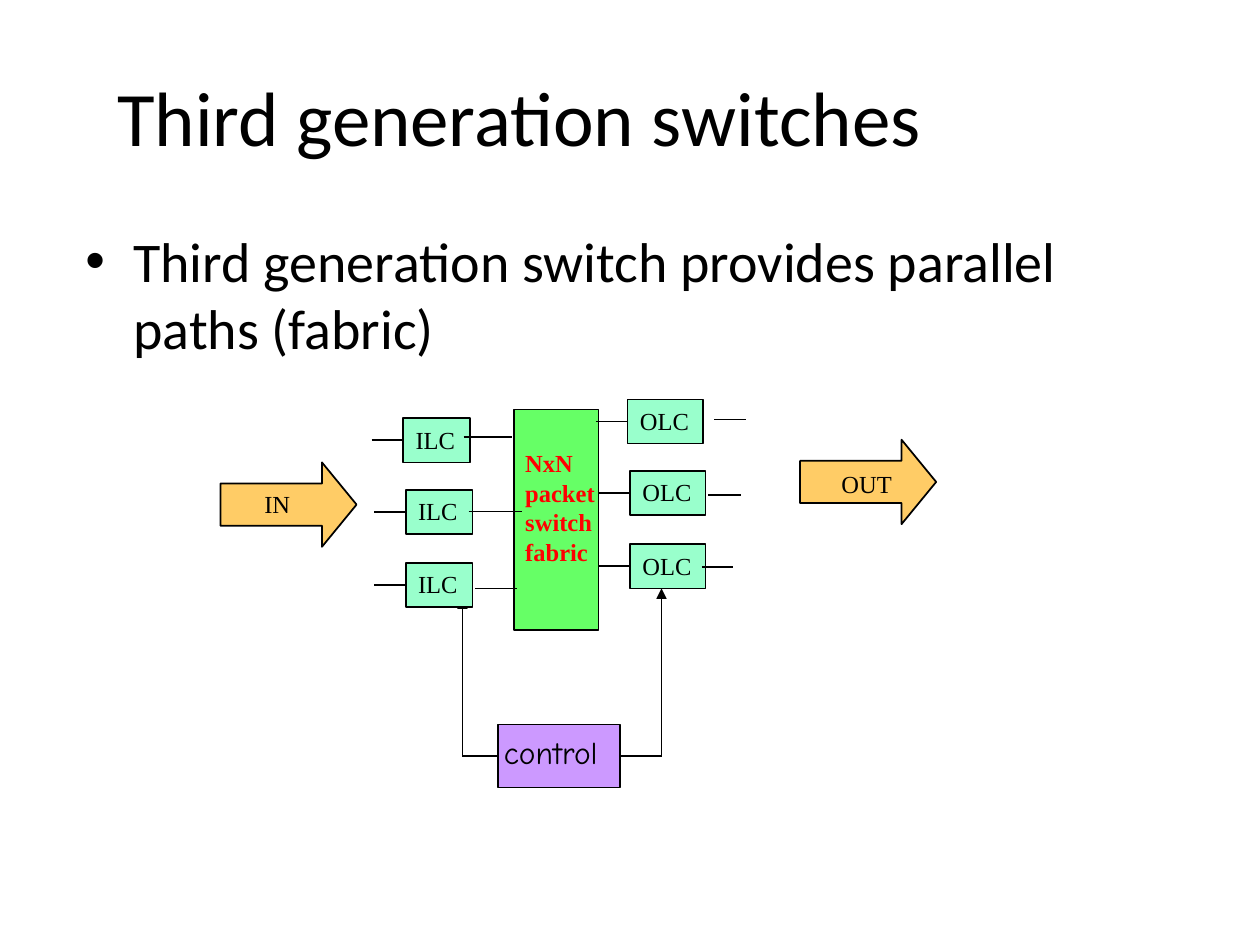
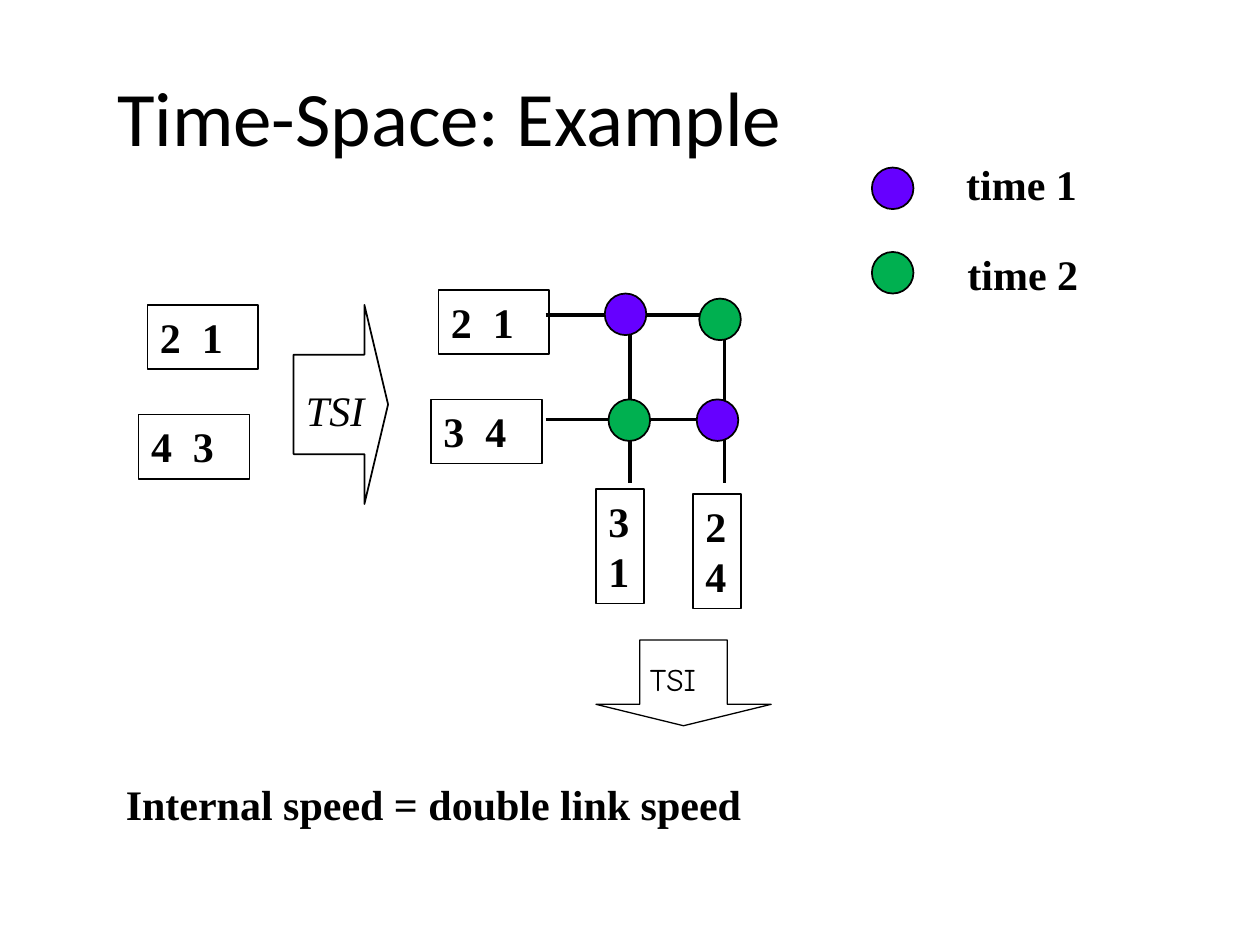
"""Build two slides on packet switch fabrics and time-space switching."""
from lxml import etree
from pptx import Presentation
from pptx.dml.color import RGBColor
from pptx.enum.shapes import MSO_CONNECTOR, MSO_SHAPE
from pptx.enum.text import MSO_ANCHOR, PP_ALIGN
from pptx.oxml.ns import qn
from pptx.util import Inches, Pt

RECTANGLE = MSO_SHAPE.RECTANGLE
OVAL = MSO_SHAPE.OVAL
RIGHT_ARROW = MSO_SHAPE.RIGHT_ARROW
DOWN_ARROW = MSO_SHAPE.DOWN_ARROW
STRAIGHT = MSO_CONNECTOR.STRAIGHT
LEFT, TOP, MIDDLE = PP_ALIGN.LEFT, MSO_ANCHOR.TOP, MSO_ANCHOR.MIDDLE
LEFT_SIDE, RIGHT_SIDE = 1, 3

COLORS = {
    "black": "000000", "red": "FF0000", "fabric": "66FF66", "control": "CC99FF",
    "card": "99FFCC", "arrow": "FFCC66", "time 1": "6600FF", "time 2": "00B050",
}
SANS, SERIF, COMIC = "Calibri", "Times New Roman", "Comic Neue"
TITLE_AT = (0.83, 0.29, 8.83, 1.25)

BULLET = "Third generation switch provides parallel paths (fabric)"
BULLET_AT = (0.58, 1.75, 8.5, 5.08)
FABRIC_AT = (4.08, 3.25, 0.67, 1.75)
FABRIC_LINES = ["NxN", "packet", "switch", "fabric"]
CONTROL_AT = (3.95, 5.75, 0.97, 0.5)
CARD_HEIGHT, LEAD = 0.35, 0.25
CARDS = [
    ("OLC", 0.6, [(4.98, 3.17), (5, 3.74), (5, 4.32)]),
    ("ILC", 0.53, [(3.2, 3.32), (3.22, 3.89), (3.22, 4.47)]),
]
CARD_OUTPUTS = [
    (5.67, 5.92, 3.33), (5.62, 5.88, 3.93), (5.57, 5.82, 4.5),
    (3.68, 4.06, 3.47), (3.72, 4.14, 4.06), (3.77, 4.1, 4.67),
]
CONTROL_PATHS = [(RIGHT_SIDE, 5.25, 4.67), (LEFT_SIDE, 3.67, 4.75)]
FLOW_ARROWS = [
    ("IN", (1.75, 3.67), (2, 3.83, 0.5, 0.33)),
    ("OUT", (6.35, 3.49), (6.58, 3.67, 0.6, 0.33)),
]

ROW_YS, COLUMN_XS = (2.5, 3.33), (5, 5.75)
ROW_START, COLUMN_END = 4.33, 3.83
SLOT_SIZE, STACK_SIZE = (0.88, 0.51), (0.38, 0.91)
SLOTS = [
    (["2  1"], (1.17, 2.42), SLOT_SIZE), (["4  3"], (1.1, 3.29), SLOT_SIZE),
    (["2  1"], (3.48, 2.3), SLOT_SIZE), (["3  4"], (3.42, 3.17), SLOT_SIZE),
    (["3", "1"], (4.73, 3.88), STACK_SIZE), (["2", "4"], (5.5, 3.92), STACK_SIZE),
]
DOT = 0.33
TIMES = [
    ("time 2", (7.58, 1.92), [(5.55, 2.37), (4.83, 3.17), (6.92, 2)]),
    ("time 1", (7.57, 1.21), [(4.8, 2.33), (5.53, 3.17), (6.92, 1.33)]),
]


def rgb(name):
    return RGBColor.from_string(COLORS[name])


def inches(values):
    return [Inches(value) for value in values]


def write(shape, lines, size, font=SERIF, color="black", bold=False, italic=False):
    frame = shape.text_frame
    frame.word_wrap = True
    frame.vertical_anchor = TOP
    frame.margin_left, frame.margin_right = Inches(0.1), 0
    frame.margin_top = frame.margin_bottom = Inches(0.05)
    for index, line in enumerate(lines):
        paragraph = frame.add_paragraph() if index else frame.paragraphs[0]
        paragraph.alignment = LEFT
        run = paragraph.add_run()
        run.text = line
        run.font.name, run.font.size = font, Pt(size)
        run.font.bold, run.font.italic = bold, italic
        run.font.color.rgb = rgb(color)
    return frame


def add_label(slide, at, lines, size, **style):
    return write(slide.shapes.add_textbox(*inches(at)), lines, size, **style)


def add_figure(slide, kind, at, fill=None, width=1, adjustments=()):
    shape = slide.shapes.add_shape(kind, *inches(at))
    shape.shadow.inherit = False
    for index, value in enumerate(adjustments):
        shape.adjustments[index] = value
    if fill:
        shape.fill.solid()
        shape.fill.fore_color.rgb = rgb(fill)
    else:
        shape.fill.background()
    shape.line.color.rgb = rgb("black")
    shape.line.width = Pt(width)
    return shape


def add_line(slide, start, end, width=1, arrow=False):
    line = slide.shapes.add_connector(STRAIGHT, *inches(start + end))
    line.line.color.rgb = rgb("black")
    line.line.width = Pt(width)
    properties = line._element.spPr
    if arrow:
        etree.SubElement(properties.find(qn("a:ln")), qn("a:tailEnd"), type="triangle")
    etree.SubElement(properties, qn("a:effectLst"))
    return line


def add_titled_slide(presentation, text):
    slide = presentation.slides.add_slide(presentation.slide_layouts[5])
    title = slide.shapes.title
    title.left, title.top, title.width, title.height = inches(TITLE_AT)
    write(title, [text], 44, font=SANS).vertical_anchor = MIDDLE
    return slide


def add_bullet(slide):
    paragraph = add_label(slide, BULLET_AT, [BULLET], 32, font=SANS).paragraphs[0]
    properties = paragraph._p.get_or_add_pPr()
    properties.set("marL", str(Inches(0.38)))
    properties.set("indent", str(Inches(-0.38)))
    etree.SubElement(properties, qn("a:buFont"), typeface="Arial")
    etree.SubElement(properties, qn("a:buChar"), char="•")


def build_switch_slide(presentation):
    slide = add_titled_slide(presentation, "Third generation switches")
    add_bullet(slide)
    add_figure(slide, RECTANGLE, FABRIC_AT, "fabric")
    control = add_figure(slide, RECTANGLE, CONTROL_AT, "control")
    control_y = CONTROL_AT[1] + CONTROL_AT[3] / 2
    for side, x, arrow_y in CONTROL_PATHS:
        corner = (x, control_y)
        add_line(slide, corner, corner).begin_connect(control, side)
        add_line(slide, corner, (x, arrow_y), arrow=True)
    add_label(slide, (4.07, 3.51, 0.75, 1.03), FABRIC_LINES, 14, color="red", bold=True)
    for name, width, positions in CARDS:
        for x, y in positions:
            card = add_figure(slide, RECTANGLE, (x, y, width, CARD_HEIGHT), "card")
            write(card, [name], 14)
            middle = y + CARD_HEIGHT / 2
            lead = add_line(slide, (x - LEAD, middle), (x, middle))
            lead.end_connect(card, LEFT_SIDE)
    for start, end, y in CARD_OUTPUTS:
        add_line(slide, (start, y), (end, y))
    for name, position, label_at in FLOW_ARROWS:
        add_figure(slide, RIGHT_ARROW, position + (1.08, 0.67), "arrow",
                   adjustments=(0.5, 0.41))
        add_label(slide, label_at, [name], 14)
    add_label(slide, (3.9, 5.77, 1.19, 0.4), ["control"], 18, font=COMIC)


def build_time_space_slide(presentation):
    slide = add_titled_slide(presentation, "Time-Space: Example")
    for y in ROW_YS:
        add_line(slide, (ROW_START, y), (COLUMN_XS[-1], y), 2)
    for x in COLUMN_XS:
        add_line(slide, (x, ROW_YS[0]), (x, COLUMN_END), 2)
    for lines, position, size in SLOTS:
        write(add_figure(slide, RECTANGLE, position + size), lines, 24, bold=True)
    add_figure(slide, RIGHT_ARROW, (2.33, 2.42, 0.75, 1.58), adjustments=(0.5, 0.25))
    add_label(slide, (2.33, 3, 0.81, 0.5), ["TSI"], 24, italic=True)
    add_figure(slide, DOWN_ARROW, (4.73, 5.08, 1.39, 0.68), width=0.75,
               adjustments=(0.5, 0.25))
    add_label(slide, (5.06, 5.19, 0.68, 0.4), ["TSI"], 18, font=COMIC)
    for name, label_position, dots in TIMES:
        for dot in dots:
            add_figure(slide, OVAL, dot + (DOT, DOT), name)
        add_label(slide, label_position + (1.25, 0.5), [name], 24, bold=True)
    add_label(slide, (0.9, 6.13, 5.14, 0.51), ["Internal speed = double link speed"],
              24, bold=True)


def main():
    presentation = Presentation()
    presentation.slide_width, presentation.slide_height = Inches(10), Inches(7.5)
    build_switch_slide(presentation)
    build_time_space_slide(presentation)
    presentation.save("out.pptx")


if __name__ == "__main__":
    main()
